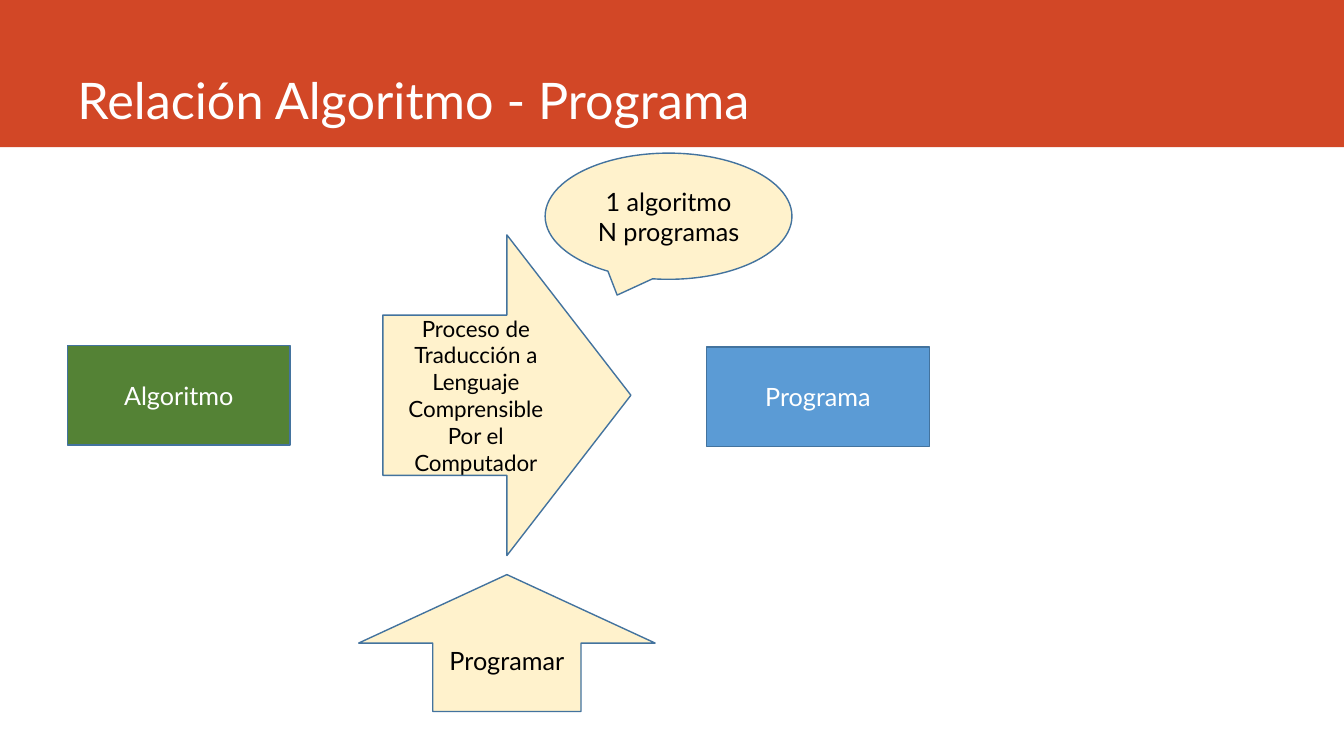
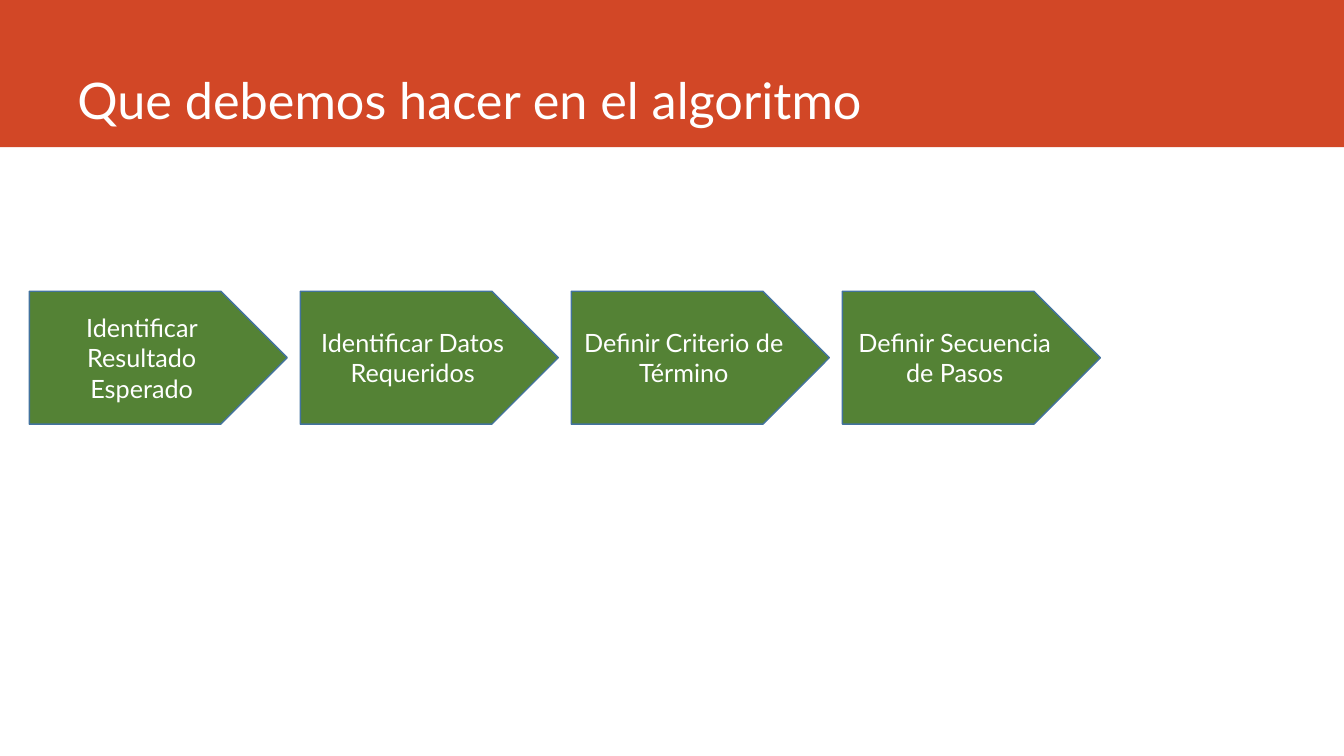
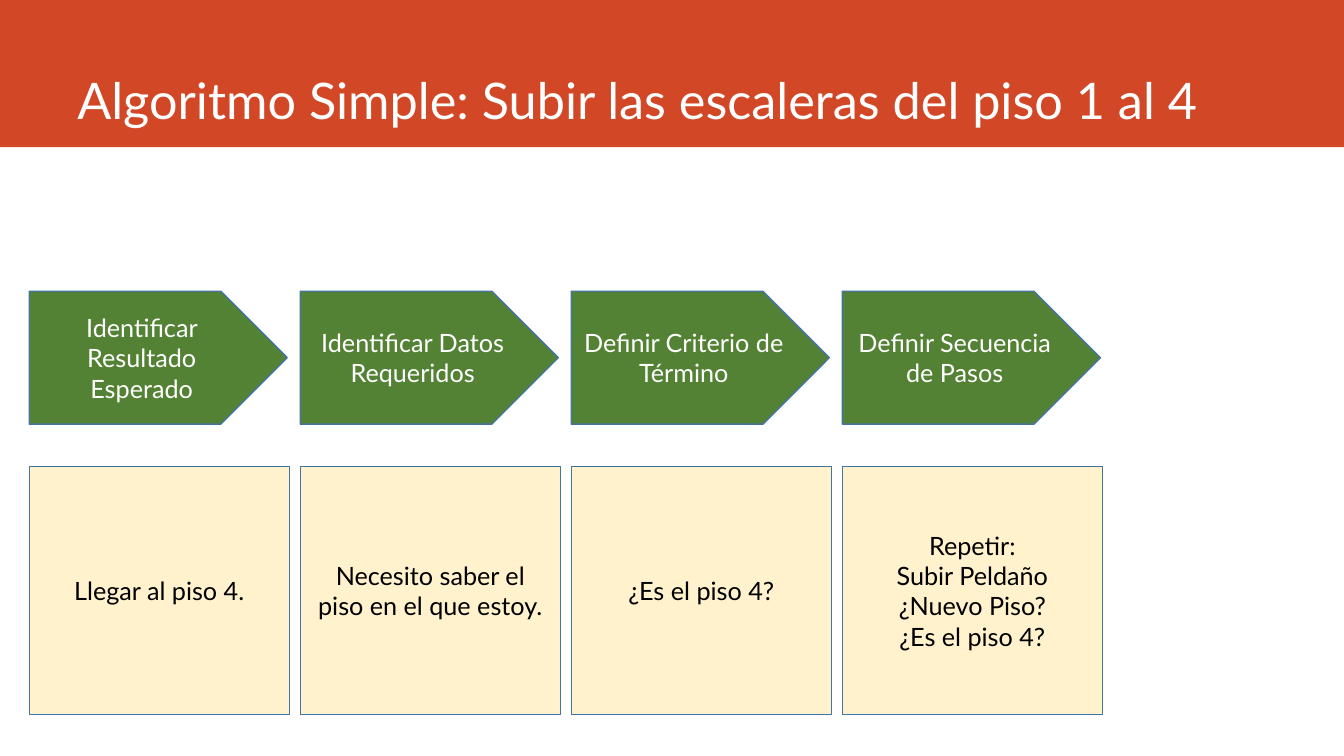
from pptx import Presentation
from pptx.dml.color import RGBColor
from pptx.enum.shapes import MSO_SHAPE
from pptx.enum.text import MSO_ANCHOR, PP_ALIGN
from pptx.util import Cm, Pt

RECT = MSO_SHAPE.RECTANGLE
PENTAGON = MSO_SHAPE.PENTAGON
RIGHT_ARROW = MSO_SHAPE.RIGHT_ARROW
UP_ARROW = MSO_SHAPE.UP_ARROW
CALLOUT = MSO_SHAPE.OVAL_CALLOUT
MIDDLE, BOTTOM = MSO_ANCHOR.MIDDLE, MSO_ANCHOR.BOTTOM
LEFT, CENTER = PP_ALIGN.LEFT, PP_ALIGN.CENTER

ORANGE = RGBColor(0xD2, 0x47, 0x26)
GREEN = RGBColor(0x54, 0x82, 0x35)
BLUE = RGBColor(0x5B, 0x9B, 0xD5)
CREAM = RGBColor(0xFF, 0xF2, 0xCC)
OUTLINE = RGBColor(0x43, 0x73, 0x9E)
WHITE = RGBColor(0xFF, 0xFF, 0xFF)
BLACK = RGBColor(0, 0, 0)

FONT = "Lato"
SLIDE_W, SLIDE_H = 33.87, 19.05
STEP_PITCH = 6.83
STEPS_BOX = (0.74, 7.34, 6.5, 3.35)
ANSWERS_BOX = (0.74, 11.76, 6.55, 6.25)

STEPS = [
    "Identificar Resultado Esperado",
    "Identificar Datos Requeridos",
    "Definir Criterio de Término",
    "Definir Secuencia de Pasos",
]
ANSWERS = [
    "Llegar al piso 4.",
    "Necesito saber el piso en el que estoy.",
    "¿Es el piso 4?",
    "Repetir:\nSubir Peldaño\n¿Nuevo Piso?\n¿Es el piso 4?",
]


def write(sp, text, size, color, align, anchor):
    tf = sp.text_frame
    tf.word_wrap = True
    tf.vertical_anchor = anchor
    tf.text = text
    for p in tf.paragraphs:
        p.alignment = align
        p.font.name = FONT
        p.font.size = Pt(size)
        p.font.color.rgb = color


def add_block(s, kind, box, fill, text, size=18):
    sp = s.shapes.add_shape(kind, *map(Cm, box))
    sp.shadow.inherit = False
    sp.fill.solid()
    sp.fill.fore_color.rgb = fill
    sp.line.color.rgb = OUTLINE
    sp.line.width = Pt(1)
    write(sp, text, size, BLACK if fill == CREAM else WHITE, CENTER, MIDDLE)


def add_titled_slide(prs, title):
    s = prs.slides.add_slide(prs.slide_layouts[6])
    band = s.shapes.add_shape(RECT, 0, 0, prs.slide_width, Cm(3.71))
    band.shadow.inherit = False
    band.fill.solid()
    band.fill.fore_color.rgb = ORANGE
    band.line.fill.background()
    tb = s.shapes.add_textbox(Cm(1.7), 0, Cm(29.85), Cm(3.4))
    write(tb, title, 36, WHITE, LEFT, BOTTOM)
    return s


def add_translation_diagram(s, left, top):
    blocks = [
        (RECT, (0, 4.85, 5.61, 2.51), GREEN, "Algoritmo", 18),
        (RECT, (16.11, 4.88, 5.61, 2.51), BLUE, "Programa", 18),
        (RIGHT_ARROW, (7.95, 2.06, 6.25, 8.08), CREAM,
         "Proceso de Traducción a Lenguaje Comprensible\nPor el Computador", 16),
        (UP_ARROW, (7.34, 10.62, 7.47, 3.45), CREAM, "Programar", 18),
        (CALLOUT, (12.04, 0, 6.22, 3.18), CREAM, "1 algoritmo\nN programas", 18),
    ]
    for kind, (x, y, w, h), fill, text, size in blocks:
        add_block(s, kind, (left + x, top + y, w, h), fill, text, size)


def add_row(s, kind, first_box, fill, texts):
    left, top, w, h = first_box
    for i, text in enumerate(texts):
        add_block(s, kind, (left + i * STEP_PITCH, top, w, h), fill, text)


def main():
    prs = Presentation()
    prs.slide_width, prs.slide_height = Cm(SLIDE_W), Cm(SLIDE_H)

    s = add_titled_slide(prs, "Relación Algoritmo - Programa")
    add_translation_diagram(s, 1.7, 3.86)

    s = add_titled_slide(prs, "Que debemos hacer en el algoritmo")
    add_row(s, PENTAGON, STEPS_BOX, GREEN, STEPS)

    s = add_titled_slide(prs, "Algoritmo Simple: Subir las escaleras del piso 1 al 4")
    add_row(s, PENTAGON, STEPS_BOX, GREEN, STEPS)
    add_row(s, RECT, ANSWERS_BOX, CREAM, ANSWERS)

    prs.save("out.pptx")


if __name__ == "__main__":
    main()
